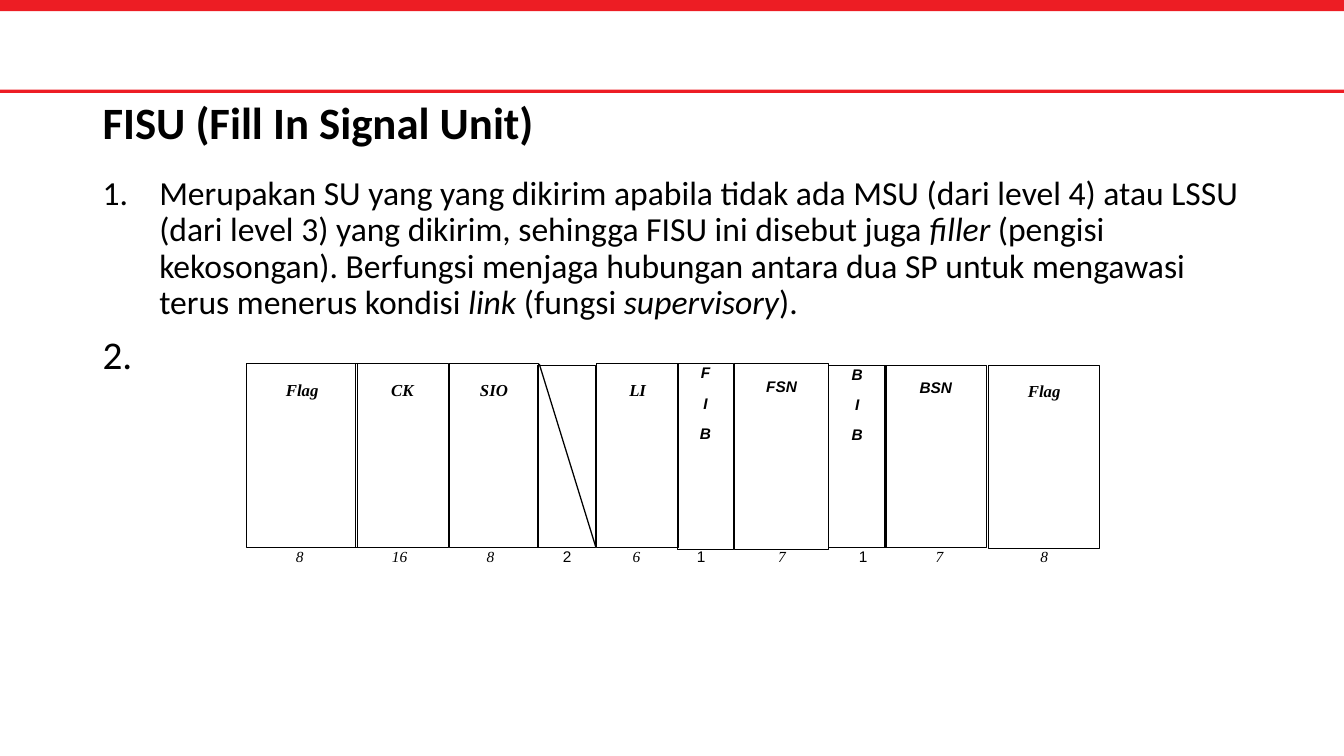
from collections import namedtuple

from lxml.etree import SubElement
from pptx import Presentation
from pptx.dml.color import RGBColor
from pptx.enum.shapes import MSO_CONNECTOR as Connector, MSO_SHAPE as Shape
from pptx.enum.text import MSO_ANCHOR as Anchor, MSO_AUTO_SIZE as AutoSize, PP_ALIGN as Align
from pptx.oxml.ns import qn
from pptx.util import Cm, Pt

RED = RGBColor(0xED, 0x1D, 0x24)
BLACK = RGBColor(0, 0, 0)
SLIDE_WIDTH, SLIDE_HEIGHT = 33.87, 19.05

Box = namedtuple("Box", "left top width height")
Field = namedtuple("Field", "letters left top width height inset bits bits_left bits_width")

DEFINITION = [
    ("Merupakan SU yang yang dikirim apabila tidak ada MSU (dari level 4) atau LSSU "
     "(dari level 3) yang dikirim, sehingga FISU ini disebut juga ", False),
    ("filler ", True),
    ("(pengisi kekosongan). Berfungsi menjaga hubungan antara dua SP untuk mengawasi "
     "terus menerus kondisi ", False),
    ("link", True),
    (" (fungsi ", False),
    ("supervisory", True),
    (").", False),
]

FIELDS = [
    Field(["Flag"], 0.05, 0, 2.79, 4.62, 0.4, "8", 0, 2.77),
    Field(["CK"], 2.8, 0, 2.34, 4.62, 0.4, "16", 2.77, 2.26),
    Field(["SIO"], 5.16, 0, 2.24, 4.62, 0.4, "8", 5.06, 2.26),
    Field([], 7.37, 0.05, 1.47, 4.57, 0.05, "2", 7.39, 1.47),
    Field(["LI"], 8.87, 0, 2.06, 4.62, 0.4, "6", 8.84, 2.06),
    Field(["F", "I", "B"], 10.9, 0, 1.42, 4.67, 0.05, "1", 10.8, 1.4),
    Field(["FSN"], 12.35, 0, 2.36, 4.67, 0.4, "7", 12.25, 2.57),
    Field(["B", "I", "B"], 14.71, 0.03, 1.45, 4.6, 0.05, "1", 14.81, 1.55),
    Field(["BSN"], 16.13, 0.03, 2.57, 4.6, 0.4, "7", 16.26, 2.49),
    Field(["Flag"], 18.75, 0.03, 2.79, 4.62, 0.4, "8", 18.8, 2.69),
]
SEQUENCE_FIELDS = {"FIB", "FSN", "BIB", "BSN"}


def cm_box(box):
    """Return the four lengths of a box in centimetres."""
    return [Cm(length) for length in box]


def add_run(paragraph, words, font, size, bold=False, italic=False):
    """Append one formatted run to a paragraph."""
    run = paragraph.add_run()
    run.text = words
    run.font.name, run.font.size = font, Pt(size)
    run.font.bold, run.font.italic = bold, italic
    run.font.color.rgb = BLACK


def place(holder, box, anchor):
    """Move a placeholder into a box and return its text frame."""
    holder.left, holder.top, holder.width, holder.height = cm_box(box)
    frame = holder.text_frame
    frame.auto_size = AutoSize.NONE
    frame.vertical_anchor = anchor
    return frame


def set_insets(frame, side, top):
    """Set wrapping, top anchoring and margins of a small text frame."""
    frame.word_wrap = True
    frame.vertical_anchor = Anchor.TOP
    frame.margin_left = frame.margin_right = frame.margin_bottom = Cm(side)
    frame.margin_top = Cm(top)


def add_bands(slide, box):
    """Draw the two red header bands across a box."""
    for offset, height in ((0, 0.28), (box.height - 0.08, 0.08)):
        band = slide.shapes.add_shape(
            Shape.RECTANGLE, *cm_box((box.left, box.top + offset, box.width, height)))
        band.shadow.inherit = False
        band.fill.solid()
        band.fill.fore_color.rgb = RED
        band.line.fill.background()


def fill_title(slide, box):
    """Write the slide title."""
    heading = place(slide.shapes.title, box, Anchor.MIDDLE).paragraphs[0]
    heading.alignment = Align.LEFT
    heading.line_spacing = 0.9
    add_run(heading, "FISU (Fill In Signal Unit)", "Calibri", 32, bold=True)


def fill_definition(slide, box):
    """Write the numbered list."""
    frame = place(slide.placeholders[1], box, Anchor.TOP)
    items = [(DEFINITION, 24, 0), ([("\N{NO-BREAK SPACE}", False)], 28, 10)]
    for index, (pieces, size, space) in enumerate(items):
        item = frame.add_paragraph() if index else frame.paragraphs[0]
        properties = item._p.get_or_add_pPr()
        properties.set("marL", str(Cm(1.43)))
        properties.set("indent", str(-Cm(1.43)))
        SubElement(properties, qn("a:buFont"), typeface="+mj-lt")
        SubElement(properties, qn("a:buAutoNum"), type="arabicPeriod")
        item.line_spacing = 0.9
        item.space_before = Pt(space)
        for words, italic in pieces:
            add_run(item, words, "Calibri", size, italic=italic)


def add_bits(slide, field, box):
    """Write the bit count under a field."""
    label = slide.shapes.add_textbox(*cm_box(box))
    set_insets(label.text_frame, 0.05, 0.05)
    count = label.text_frame.paragraphs[0]
    count.alignment = Align.CENTER
    plain = field.bits in ("1", "2")
    add_run(count, field.bits, "Arial" if plain else "Times New Roman", 11, italic=not plain)


def add_field(slide, field, box):
    """Draw one outlined field with its name."""
    cell = slide.shapes.add_shape(Shape.RECTANGLE, *cm_box(box))
    cell.shadow.inherit = False
    cell.fill.background()
    cell.line.color.rgb = BLACK
    cell.line.width = Pt(0.75)
    frame = cell.text_frame
    set_insets(frame, 0.05, field.inset)
    sequence = "".join(field.letters) in SEQUENCE_FIELDS
    for index, letters in enumerate(field.letters):
        line = frame.add_paragraph() if index else frame.paragraphs[0]
        line.alignment = Align.CENTER
        if sequence:
            line.line_spacing = 0.88
            line.space_after = Pt(10)
        font, size = ("Arial", 11) if sequence else ("Times New Roman", 12)
        add_run(line, letters, font, size, bold=True, italic=True)


def add_slash(slide, box):
    """Strike the unused field through from corner to corner."""
    slash = slide.shapes.add_connector(
        Connector.STRAIGHT, Cm(box.left + box.width), Cm(box.top + box.height),
        Cm(box.left), Cm(box.top))
    slash.line.color.rgb = BLACK
    slash.line.width = Pt(0.9)
    SubElement(slash._element.spPr, qn("a:effectLst"))


def add_frame_format(slide, box):
    """Draw the signal unit fields and their bit counts."""
    for field in FIELDS:
        add_bits(slide, field, Box(box.left + field.bits_left, box.top + 4.57,
                                   field.bits_width, box.height - 4.57))
        cell = Box(box.left + field.left, box.top + field.top, field.width, field.height)
        add_field(slide, field, cell)
        if not field.letters:
            add_slash(slide, Box(cell.left + 0.05, box.top, 1.42, 4.6))


def main():
    """Build and save the presentation."""
    deck = Presentation()
    deck.slide_width, deck.slide_height = Cm(SLIDE_WIDTH), Cm(SLIDE_HEIGHT)
    slide = deck.slides.add_slide(deck.slide_layouts[1])
    add_bands(slide, Box(0, 0, SLIDE_WIDTH, 2.34))
    fill_title(slide, Box(2.33, 2.51, 29.21, 1.27))
    fill_definition(slide, Box(2.33, 4.32, 29.21, 12.85))
    add_frame_format(slide, Box(6.17, 9.17, 21.54, 6.96))
    deck.save("out.pptx")


if __name__ == "__main__":
    main()
